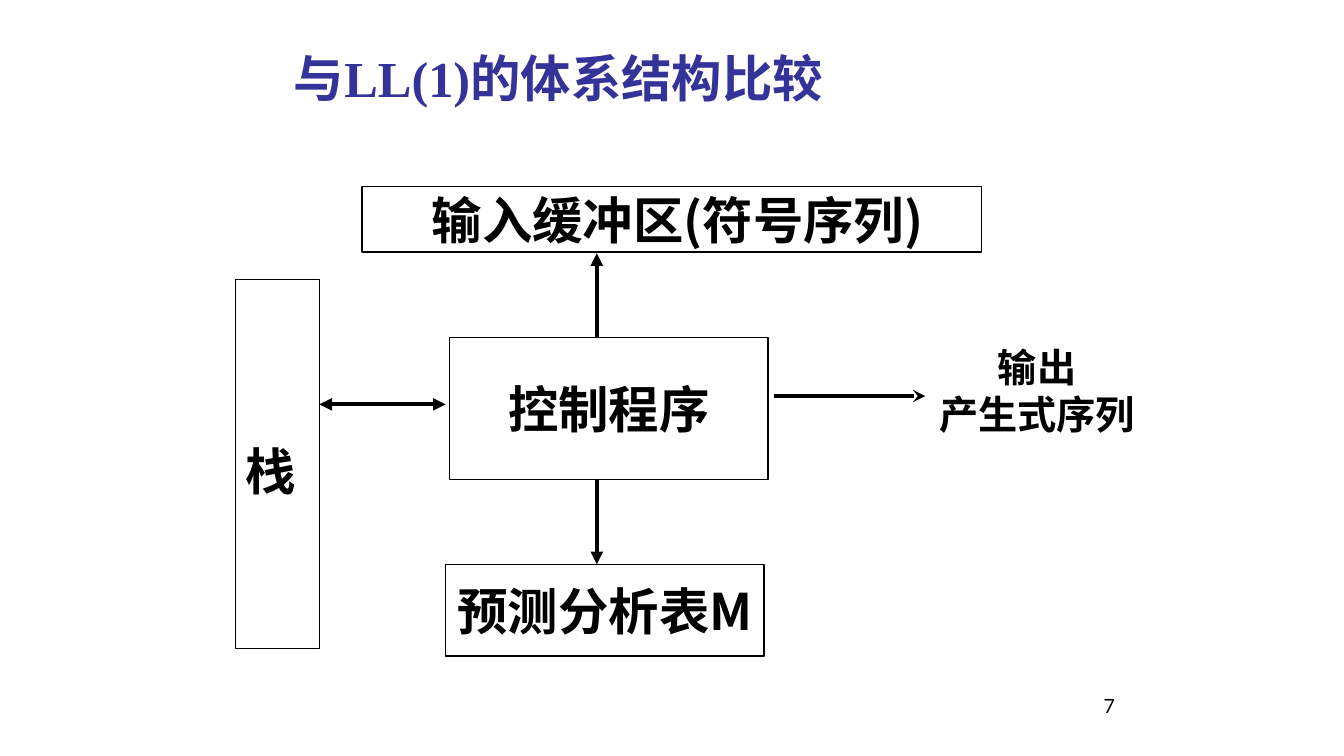
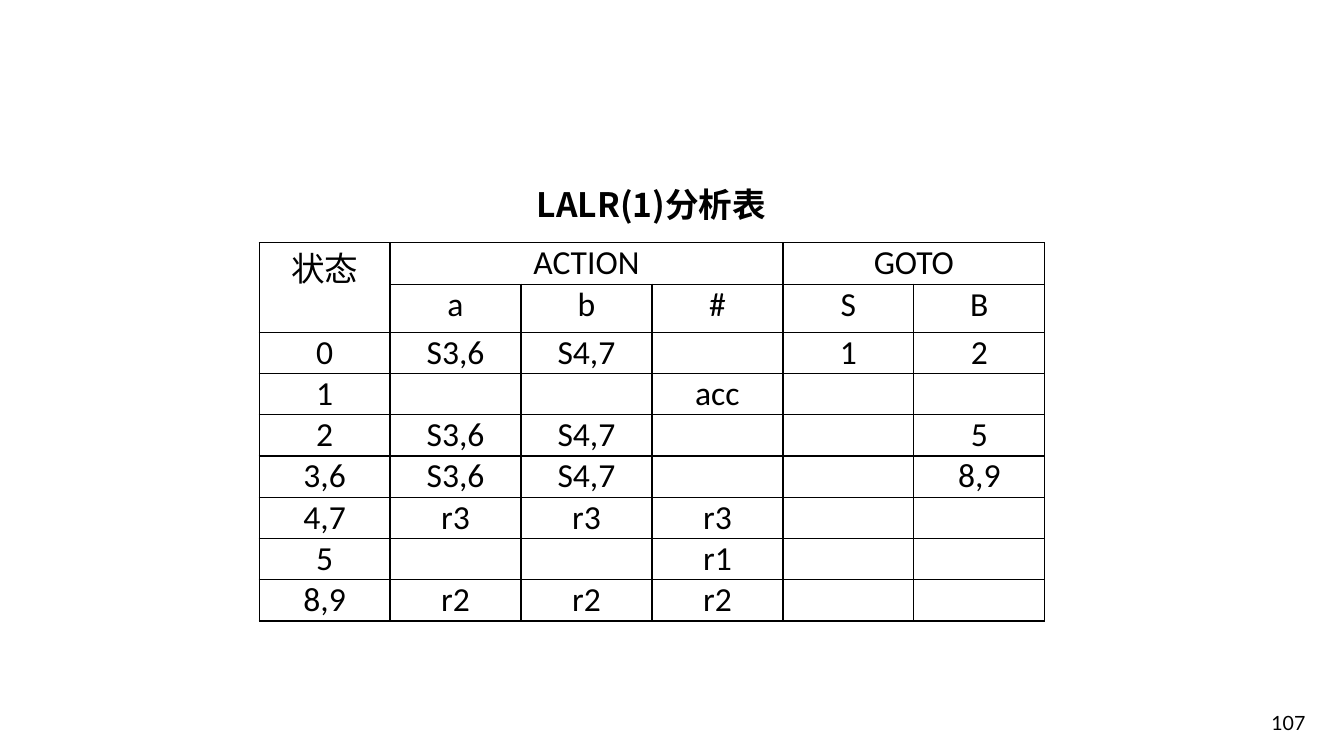
import pptx
import pptx.dml.color
import pptx.enum.shapes
import pptx.enum.text
import pptx.oxml
import pptx.oxml.ns
import pptx.util
from lxml import etree

Cm = pptx.util.Cm
Pt = pptx.util.Pt
ALIGN = pptx.enum.text.PP_ALIGN
ANCHOR = pptx.enum.text.MSO_ANCHOR
qn = pptx.oxml.ns.qn

BLACK = pptx.dml.color.RGBColor(0x00, 0x00, 0x00)
TITLE_BLUE = pptx.dml.color.RGBColor(0x33, 0x33, 0x99)
CJK_FONT = "Noto Sans CJK JP"
TITLE_FONT = "Times New Roman"
NUMBER_FONT = "Lato"
TABLE_FONT = "Calibri"


def write_text(frame, text, font=CJK_FONT, size=36, color=BLACK, bold=False,
               align=ALIGN.CENTER, anchor=ANCHOR.TOP, wrap=True, spacing=None):
    """Fill a text frame, one paragraph for each line of text."""
    frame.word_wrap = wrap
    frame.vertical_anchor = anchor
    for index, line in enumerate(text.split("\n")):
        para = frame.add_paragraph() if index else frame.paragraphs[0]
        para.alignment = align
        para.line_spacing = spacing
        span = para.add_run()
        span.text = line
        span.font.name = font
        span.font.size = Pt(size)
        span.font.bold = bold
        span.font.color.rgb = color
        east_asian = etree.Element(qn("a:ea"), typeface=CJK_FONT)
        span.font._element.find(qn("a:latin")).addnext(east_asian)


def add_cell_borders(cell, width=Pt(1)):
    properties = cell._tc.get_or_add_tcPr()
    for side in ("lnL", "lnR", "lnT", "lnB"):
        border = etree.SubElement(properties, qn(f"a:{side}"), w=str(width))
        fill = etree.SubElement(border, qn("a:solidFill"))
        etree.SubElement(fill, qn("a:srgbClr"), val=str(BLACK))


class Deck:
    """Holds the presentation, the shared style and the current page."""

    def __init__(self):
        self.deck = pptx.Presentation()
        self.deck.slide_width = Cm(33.87)
        self.deck.slide_height = Cm(19.05)
        self.page = None

    def new_page(self):
        self.page = self.deck.slides.add_slide(self.deck.slide_layouts[6])

    def text(self, left, top, width, height, text, **style):
        box = self.page.shapes.add_textbox(Cm(left), Cm(top), Cm(width), Cm(height))
        write_text(box.text_frame, text, **style)

    def title(self, text):
        self.text(7.16, 0.91, 17.78, 2.08, text, font=TITLE_FONT, bold=True,
                  color=TITLE_BLUE, align=ALIGN.LEFT, anchor=ANCHOR.MIDDLE)

    def page_number(self, left, width, height, number, anchor=ANCHOR.TOP):
        self.text(left, 17.35, width, height, str(number), font=NUMBER_FONT,
                  size=14, align=ALIGN.RIGHT, anchor=anchor)

    def block(self, left, top, width, height, text, **style):
        box = self.page.shapes.add_shape(
            pptx.enum.shapes.MSO_SHAPE.RECTANGLE,
            Cm(left), Cm(top), Cm(width), Cm(height))
        box.shadow.inherit = False
        box.fill.background()
        box.line.color.rgb = BLACK
        box.line.width = Pt(1)
        write_text(box.text_frame, text, bold=True, anchor=ANCHOR.MIDDLE,
                   wrap=False, **style)

    def arrow(self, start, end, head=None, tail=None):
        """Draw a line with optional arrowheads at its start (head) and end (tail)."""
        line = self.page.shapes.add_connector(
            pptx.enum.shapes.MSO_CONNECTOR.STRAIGHT,
            *(Cm(length) for length in start + end))
        line.line.color.rgb = BLACK
        line.line.width = Pt(3)
        outline = line.get_or_add_ln()
        for tag, kind in (("a:headEnd", head), ("a:tailEnd", tail)):
            if kind:
                etree.SubElement(outline, qn(tag), type=kind)
        etree.SubElement(line._element.spPr, qn("a:effectLst"))

    def table(self, left, top, column_width, row_heights, rows, merges):
        count = len(rows[0])
        table = self.page.shapes.add_table(
            len(rows), count, Cm(left), Cm(top),
            Cm(column_width * count), Cm(sum(row_heights))).table
        table.first_row = False
        table.horz_banding = False
        for column in table.columns:
            column.width = Cm(column_width)
        for row, height, texts in zip(table.rows, row_heights, rows):
            row.height = Cm(height)
            for cell, text in zip(row.cells, texts):
                cell.margin_left = cell.margin_right = Cm(0.18)
                cell.margin_top = cell.margin_bottom = 0
                add_cell_borders(cell)
                cell.fill.background()
                if text:
                    write_text(cell.text_frame, text, font=TABLE_FONT, size=24,
                               wrap=None, anchor=None)
        for first, last in merges:
            table.cell(*first).merge(table.cell(*last))


def build_architecture(deck):
    deck.new_page()
    deck.page_number(22.43, 5.92, 1.32, 7)
    deck.title("与LL(1)的体系结构比较")
    deck.block(9.12, 4.7, 15.62, 1.65, " 输入缓冲区(符号序列)")
    deck.block(5.94, 7.04, 2.11, 9.3, "栈", align=ALIGN.LEFT, spacing=1.2)
    deck.block(11.33, 8.51, 8.03, 3.58, "控制程序")
    deck.block(11.23, 14.22, 8.03, 2.31, "预测分析表M")
    deck.arrow((15.04, 8.51), (15.04, 6.38), tail="triangle")
    deck.arrow((11.23, 10.19), (8.05, 10.19), head="triangle", tail="triangle")
    deck.arrow((15.04, 14.22), (15.04, 12.09), head="triangle")
    deck.arrow((19.51, 9.98), (23.32, 9.98), tail="stealth")
    deck.text(23.14, 8.53, 5.99, 2.62, "输出\n产生式序列", size=28, bold=True)


def build_parsing_table(deck):
    deck.new_page()
    deck.page_number(26.09, 7.06, 1.27, 107, anchor=ANCHOR.BOTTOM)
    rows = [
        ("状态", "ACTION", "", "", "GOTO", ""),
        ("", "a", "b", "#", "S", "B"),
        ("0", "S3,6", "S4,7", "", "1", "2"),
        ("1", "", "", "acc", "", ""),
        ("2", "S3,6", "S4,7", "", "", "5"),
        ("3,6", "S3,6", "S4,7", "", "", "8,9"),
        ("4,7", "r3", "r3", "r3", "", ""),
        ("5", "", "", "r1", "", ""),
        ("8,9", "r2", "r2", "r2", "", ""),
    ]
    row_heights = [1.04, 1.21] + [1.04] * 7
    merges = [((0, 0), (1, 0)), ((0, 1), (0, 3)), ((0, 4), (0, 5))]
    deck.table(6.53, 6.12, 3.3, row_heights, rows, merges)
    deck.text(12.52, 4.52, 7.8, 1.27, "LALR(1)分析表", size=24, bold=True)


def main():
    deck = Deck()
    build_architecture(deck)
    build_parsing_table(deck)
    deck.deck.save("out.pptx")


if __name__ == "__main__":
    main()
